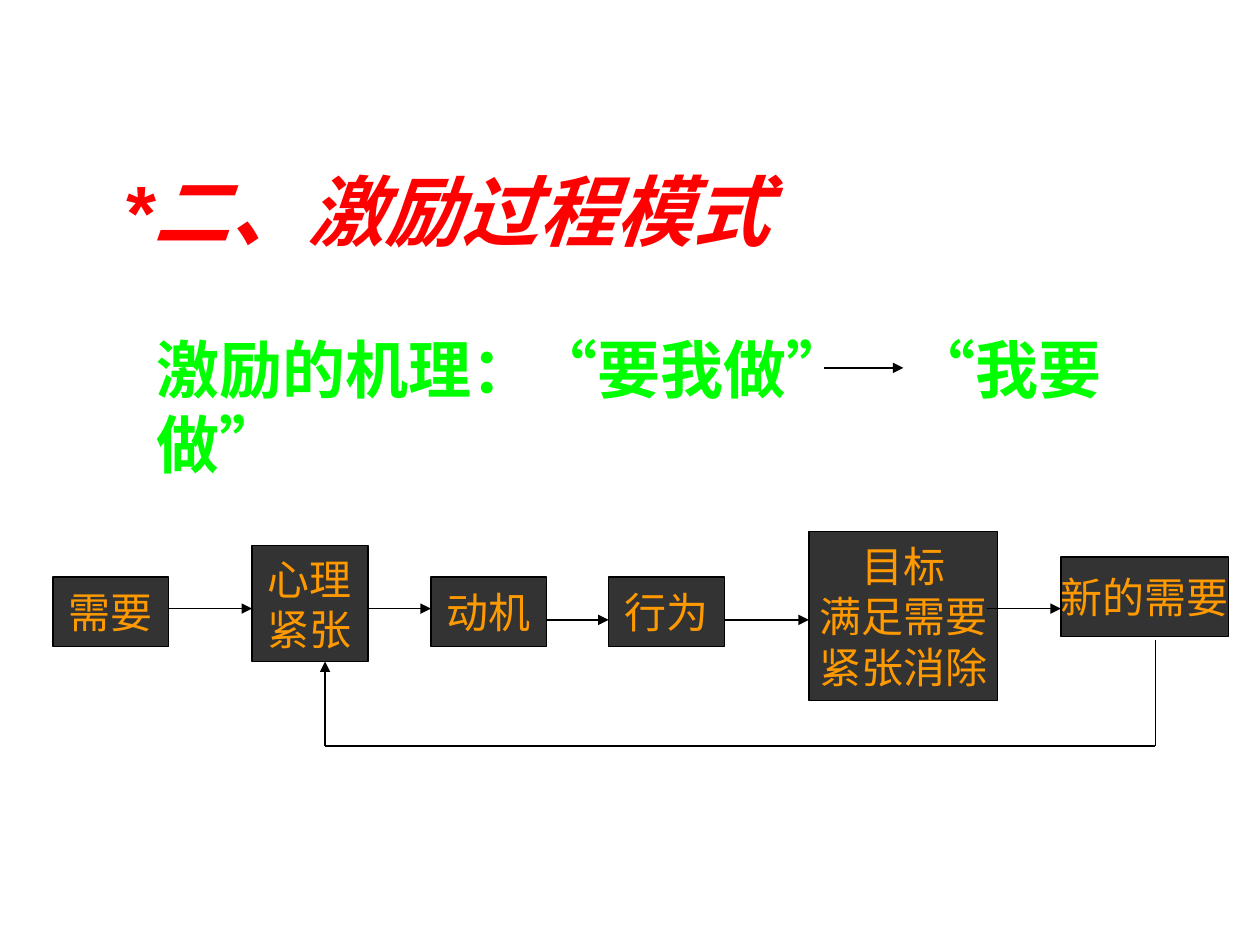
from typing import NamedTuple

from lxml.etree import SubElement
from pptx import Presentation
from pptx.dml.color import RGBColor
from pptx.enum.shapes import MSO_CONNECTOR, MSO_SHAPE
from pptx.enum.text import MSO_ANCHOR, MSO_AUTO_SIZE, PP_ALIGN
from pptx.oxml.ns import qn
from pptx.util import Inches, Pt

BLACK = RGBColor(0x00, 0x00, 0x00)
CHARCOAL = RGBColor(0x33, 0x33, 0x33)
ORANGE = RGBColor(0xFF, 0x99, 0x00)
RED = RGBColor(0xFF, 0x00, 0x00)
GREEN = RGBColor(0x00, 0xFF, 0x00)


class Stage(NamedTuple):
    text: str
    left: float
    top: float
    width: float = 0.92
    height: float = 0.55


class Link(NamedTuple):
    x1: float
    y1: float
    x2: float
    y2: float
    arrow: bool = True


STAGES = [
    Stage("目标\n满足需要\n紧张消除", 6.42, 4.22, 1.5, 1.34),
    Stage("需要", 0.42, 4.58),
    Stage("心理\n紧张", 2, 4.33, height=0.92),
    Stage("动机", 3.42, 4.58),
    Stage("行为", 4.83, 4.58),
    Stage("新的需要", 8.42, 4.42, 1.33, 0.63),
]
UPPER, LOWER = 4.83, 4.92  # heights of the forward arrows
FEEDBACK_LEFT, FEEDBACK_RIGHT, FEEDBACK_Y = 2.58, 9.17, 5.92
LINKS = [
    # Forward chain
    Link(1.33, UPPER, 2, UPPER),
    Link(2.92, UPPER, 3.42, UPPER),
    Link(4.33, LOWER, 4.83, LOWER),
    Link(5.75, LOWER, 6.42, LOWER),
    Link(7.83, UPPER, 8.42, UPPER),
    # Feedback loop
    Link(FEEDBACK_LEFT, FEEDBACK_Y, FEEDBACK_RIGHT, FEEDBACK_Y, arrow=False),
    Link(FEEDBACK_RIGHT, 5.08, FEEDBACK_RIGHT, FEEDBACK_Y, arrow=False),
    Link(FEEDBACK_LEFT, FEEDBACK_Y, FEEDBACK_LEFT, 5.25),
    # Arrow inside the mechanism sentence
    Link(6.54, 2.92, 7.17, 2.92),
]


def draw_stage(slide, stage: Stage) -> None:
    box = slide.shapes.add_shape(
        MSO_SHAPE.RECTANGLE, Inches(stage.left), Inches(stage.top),
        Inches(stage.width), Inches(stage.height))
    box.shadow.inherit = False
    box.fill.solid()
    box.fill.fore_color.rgb = CHARCOAL
    box.line.color.rgb = BLACK
    box.line.width = Pt(0.75)
    frame = box.text_frame
    frame.word_wrap = False
    frame.vertical_anchor = MSO_ANCHOR.MIDDLE
    frame.text = stage.text
    for paragraph in frame.paragraphs:
        paragraph.alignment = PP_ALIGN.CENTER
        for run in paragraph.runs:
            run.font.name = "Times New Roman"
            run.font.size = Pt(24)
            run.font.color.rgb = ORANGE


def draw_link(slide, link: Link) -> None:
    connector = slide.shapes.add_connector(
        MSO_CONNECTOR.STRAIGHT, Inches(link.x1), Inches(link.y1),
        Inches(link.x2), Inches(link.y2))
    connector.line.color.rgb = BLACK
    connector.line.width = Pt(0.75)
    if link.arrow:
        SubElement(connector.line._get_or_add_ln(), qn("a:tailEnd"), type="triangle")
    SubElement(connector._element.spPr, qn("a:effectLst"))


def fill_placeholder(holder, text: str, at: tuple[float, float, float, float],
                     font_name: str, size: int, color: RGBColor,
                     italic: bool = False, tab: float | None = None) -> None:
    holder.left, holder.top, holder.width, holder.height = map(Inches, at)
    frame = holder.text_frame
    frame.text = text
    frame.word_wrap = True
    frame.auto_size = MSO_AUTO_SIZE.NONE
    frame.vertical_anchor = MSO_ANCHOR.TOP
    paragraph = frame.paragraphs[0]
    properties = paragraph._p.get_or_add_pPr()
    properties.set("marL", "0")
    properties.set("indent", "0")
    SubElement(properties, qn("a:buNone"))
    if tab is not None:
        stops = SubElement(properties, qn("a:tabLst"))
        SubElement(stops, qn("a:tab"), pos=str(Inches(tab)), algn="l")
    paragraph.alignment = PP_ALIGN.LEFT
    paragraph.space_before = Pt(0)
    for run in paragraph.runs:
        run.font.name = font_name
        run.font.size = Pt(size)
        run.font.bold = True
        run.font.italic = italic
        run.font.color.rgb = color


def main() -> None:
    deck = Presentation()
    deck.slide_width, deck.slide_height = Inches(10), Inches(7.5)
    slide = deck.slides.add_slide(deck.slide_layouts[1])

    # Heading and mechanism sentence
    fill_placeholder(slide.shapes.title, "*二、激励过程模式",
                     (0.88, 1.25, 8.26, 0.84), "Arial", 44, RED, italic=True)
    fill_placeholder(slide.placeholders[1], "激励的机理：“要我做”\t“我要做”",
                     (1.14, 2.57, 8.29, 1.3), "Times New Roman", 36, GREEN, tab=5.72)

    # Process diagram
    for stage in STAGES:
        draw_stage(slide, stage)
    for link in LINKS:
        draw_link(slide, link)

    deck.save("out.pptx")


if __name__ == "__main__":
    main()
